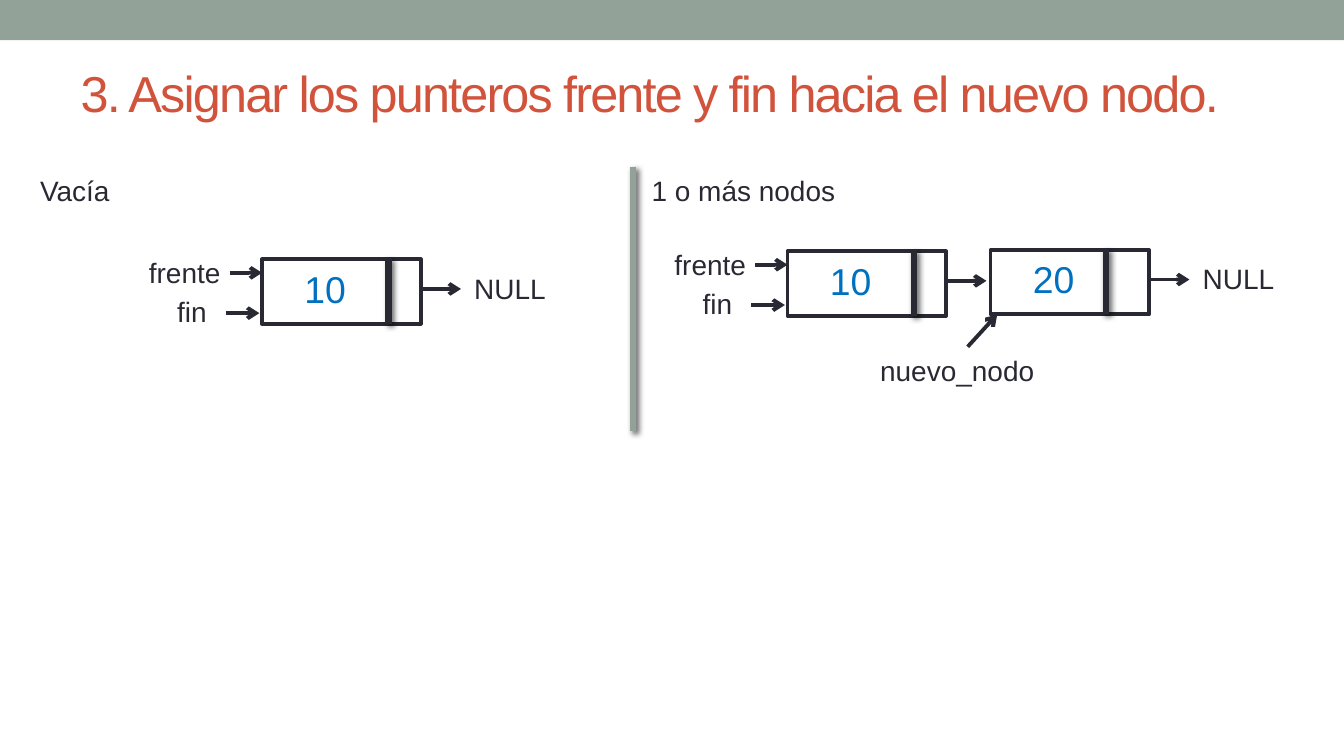
from lxml import etree
from pptx import Presentation
from pptx.dml.color import RGBColor
from pptx.enum.shapes import MSO_CONNECTOR, MSO_SHAPE
from pptx.enum.text import MSO_ANCHOR, MSO_AUTO_SIZE, PP_ALIGN
from pptx.oxml import parse_xml
from pptx.oxml.ns import nsdecls, qn
from pptx.util import Inches, Pt

STRAIGHT = MSO_CONNECTOR.STRAIGHT
RECTANGLE = MSO_SHAPE.RECTANGLE
LEFT, CENTER = PP_ALIGN.LEFT, PP_ALIGN.CENTER

FONT = "Arial"
COLORS = {"band": "93A299", "title": "D2533C", "ink": "292934",
          "value": "0070C0", "paper": "FFFFFF"}

TITLE = "3. Asignar los punteros frente y fin hacia el nuevo nodo."
HEADINGS = [("Vacía", 0.2, 1.34), ("1 o más nodos", 4.75, 1.57)]
# Each node: value, left, top, offset of its divider
QUEUES = [
    [("10", 1.95, 1.93, 0.94)],
    [("10", 5.86, 1.87, 0.94), ("20", 7.37, 1.86, 0.86)],
]
# Offsets from the first node: label, left, top, width, arrow start, end, height
POINTERS = [("frente", -0.94, -0.08, 0.84, -0.24, 0, 0.1),
            ("fin", -0.73, 0.21, 0.67, -0.27, -0.02, 0.4)]
NODE_WIDTH, NODE_HEIGHT, VALUE_WIDTH = 1.18, 0.48, 0.94
NEXT_START, NEXT_END, NEXT_HEIGHT = 1.18, 1.48, 0.22
THIN, THICK = 2.08, 3.5

SHADOW = (f'<a:effectLst {nsdecls("a")}><a:outerShdw blurRad="38100" dist="25400" '
          'dir="2700000" algn="tl" rotWithShape="0"><a:srgbClr val="000000">'
          '<a:alpha val="60000"/></a:srgbClr></a:outerShdw></a:effectLst>')
NO_EFFECT = f'<a:effectLst {nsdecls("a")}/>'


def rgb(name):
    return RGBColor.from_string(COLORS[name])


def style(para, size, color, align=LEFT):
    para.alignment = align
    para.font.name = FONT
    para.font.size = Pt(size)
    para.font.color.rgb = rgb(color)


def add_label(page, text, left, top, width, height=0.35, size=15, color="ink", align=LEFT):
    box = page.shapes.add_textbox(*map(Inches, (left, top, width, height)))
    box.text_frame.word_wrap = True
    box.text_frame.text = text
    style(box.text_frame.paragraphs[0], size, color, align)


def add_line(page, start, end, width=THIN, color="ink", effect=NO_EFFECT):
    line = page.shapes.add_connector(STRAIGHT, *map(Inches, (*start, *end)))
    line.line.color.rgb = rgb(color)
    line.line.width = Pt(width)
    line._element.spPr.append(parse_xml(effect))
    return line


def add_arrow(page, start, end):
    outline = add_line(page, start, end).line._get_or_add_ln()
    etree.SubElement(outline, qn("a:tailEnd"), type="arrow")


def add_rectangle(page, left, top, width, height, fill):
    box = page.shapes.add_shape(RECTANGLE, *map(Inches, (left, top, width, height)))
    box.shadow.inherit = False
    box.fill.solid()
    box.fill.fore_color.rgb = rgb(fill)
    box.line.fill.background()
    return box


def add_node(page, value, left, top, divider):
    """Draw a value cell, its divider and the arrow to the next node."""
    box = add_rectangle(page, left, top, NODE_WIDTH, NODE_HEIGHT, "paper")
    box.line.color.rgb = rgb("ink")
    box.line.width = Pt(THIN)
    x = left + divider
    add_line(page, (x, top - 0.01), (x, top + NODE_HEIGHT), THICK, effect=SHADOW)
    add_label(page, value, left, top, VALUE_WIDTH, 0.44, 20, "value", CENTER)
    y = top + NEXT_HEIGHT
    add_arrow(page, (left + NEXT_START, y), (left + NEXT_END, y))


def add_queue(page, nodes):
    _, left, top, _ = nodes[0]
    for node in nodes:
        add_node(page, *node)
    for text, dx, dy, width, start, end, height in POINTERS:
        add_label(page, text, left + dx, top + dy, width)
        add_arrow(page, (left + start, top + height), (left + end, top + height))
    _, left, top, _ = nodes[-1]
    add_label(page, "NULL", left + NEXT_END, top + 0.04, 0.86)


def add_title(page):
    title = page.shapes.title
    title.left, title.top, title.width, title.height = map(Inches, (0.5, 0.44, 9, 0.64))
    frame = title.text_frame
    frame.text = TITLE
    frame.word_wrap = True
    frame.auto_size = MSO_AUTO_SIZE.NONE
    frame.vertical_anchor = MSO_ANCHOR.MIDDLE
    frame.margin_top, frame.margin_bottom = Inches(0.02), Inches(0.16)
    para = frame.paragraphs[0]
    style(para, 27, "title")
    para.runs[0].font._element.set("spc", "-100")


def main():
    deck = Presentation()
    deck.slide_width = Inches(10)
    deck.slide_height = deck.slide_width * 9 // 16
    page = deck.slides.add_slide(deck.slide_layouts.get_by_name("Title Only"))
    add_rectangle(page, 0, 0, 10, 0.3, "band")
    add_title(page)
    add_line(page, (4.71, 1.24), (4.71, 3.21), THICK, "band", SHADOW)
    for text, left, width in HEADINGS:
        add_label(page, text, left, 1.24, width)
    for nodes in QUEUES:
        add_queue(page, nodes)
    add_arrow(page, (7.2, 2.58), (7.42, 2.34))
    add_label(page, "nuevo_nodo", 6.45, 2.58, 1.39)
    deck.save("out.pptx")


if __name__ == "__main__":
    main()
